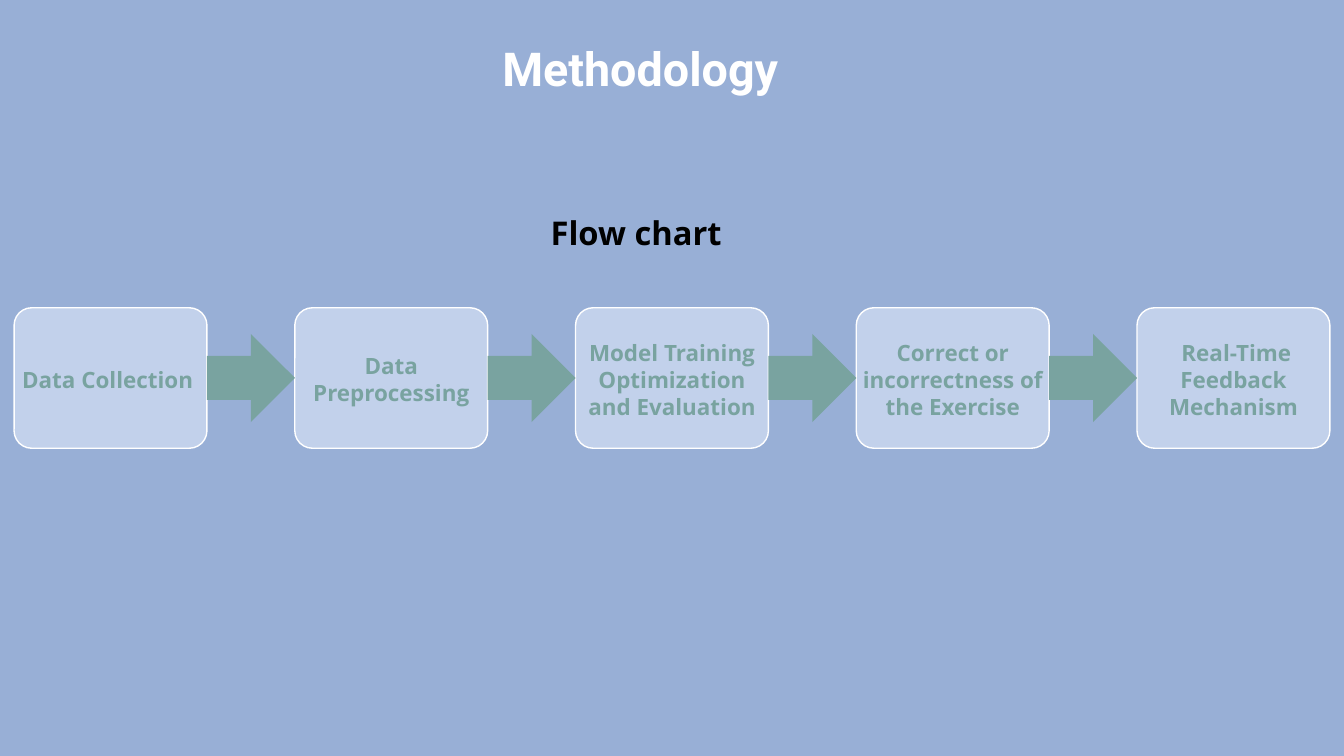
import pptx
import pptx.dml.color
import pptx.enum.shapes
import pptx.enum.text
import pptx.util
from dataclasses import dataclass

Inches = pptx.util.Inches
Pt = pptx.util.Pt
RGB = pptx.dml.color.RGBColor.from_string
SHAPE = pptx.enum.shapes.MSO_SHAPE
ANCHOR = pptx.enum.text.MSO_ANCHOR
CENTER = pptx.enum.text.PP_ALIGN.CENTER


@dataclass(frozen=True)
class Theme:
    background: str = "98AFD6"
    card: str = "C2D1EB"
    accent: str = "79A3A0"
    white: str = "FFFFFF"
    black: str = "000000"
    heading_font: str = "Roboto"
    body_font: str = "Open Sans"
    title_size: int = 50
    subtitle_size: int = 35
    step_size: int = 24


THEME = Theme()
STEPS = [
    ["Data Collection "],
    ["Data Preprocessing"],
    ["Model Training Optimization", "and Evaluation"],
    ["Correct or incorrectness of the Exercise"],
    [" Real-Time Feedback Mechanism"],
]


def set_attrs(target, values):
    for name, value in values.items():
        setattr(target, name, value)


def write_text(sp, lines, font, size, color, spacing, anchor, top=0):
    tf = sp.text_frame
    set_attrs(tf, {
        "word_wrap": True, "vertical_anchor": anchor,
        "margin_left": 0, "margin_right": 0,
        "margin_top": Inches(top), "margin_bottom": 0,
    })
    for i, line in enumerate(lines):
        p = tf.paragraphs[0] if i == 0 else tf.add_paragraph()
        set_attrs(p, {"alignment": CENTER, "line_spacing": Pt(spacing)})
        r = p.add_run()
        r.text = line
        set_attrs(r.font, {"name": font, "size": Pt(size), "bold": True})
        r.font.color.rgb = RGB(color)


def add_heading(s, box, text, font, size, color, spacing):
    sp = s.shapes.add_textbox(*map(Inches, box))
    write_text(sp, [text], font, size, color, spacing, ANCHOR.TOP)


def add_filled(s, kind, box, color):
    sp = s.shapes.add_shape(kind, *map(Inches, box))
    sp.shadow.inherit = False
    sp.fill.solid()
    sp.fill.fore_color.rgb = RGB(color)
    sp.line.fill.background()
    return sp


def add_step(s, box, lines):
    sp = add_filled(s, SHAPE.ROUNDED_RECTANGLE, box, THEME.card)
    sp.adjustments[0] = 0.125
    sp.line.color.rgb = RGB(THEME.white)
    sp.line.width = Pt(1.5)
    write_text(sp, lines, THEME.body_font, THEME.step_size, THEME.accent,
               28.8, ANCHOR.MIDDLE, top=0.04)


def add_flow(s, box, steps, step_width=2.87, arrow=1.31):
    left, top, width, height = box
    pitch = (width - step_width) / (len(steps) - 1)
    for i, lines in enumerate(steps):
        add_step(s, (left + i * pitch, top, step_width, height), lines)
    arrow_top = top + (height - arrow) / 2
    for i in range(len(steps) - 1):
        arrow_left = left + i * pitch + step_width
        add_filled(s, SHAPE.RIGHT_ARROW,
                   (arrow_left, arrow_top, arrow, arrow), THEME.accent)


def main():
    prs = pptx.Presentation()
    set_attrs(prs, {"slide_width": Inches(20), "slide_height": Inches(11.25)})
    s = prs.slides.add_slide(prs.slide_layouts[6])
    s.background.fill.solid()
    s.background.fill.fore_color.rgb = RGB(THEME.background)
    add_flow(s, (0.21, 4.58, 19.58, 2.09), STEPS)
    add_heading(s, (1.64, 0.51, 15.78, 1.03), "Methodology",
                THEME.heading_font, THEME.title_size, THEME.white, 66)
    add_heading(s, (8.19, 3.17, 2.68, 0.56), "Flow chart ",
                THEME.body_font, THEME.subtitle_size, THEME.black, 42)
    prs.save("out.pptx")


if __name__ == "__main__":
    main()
